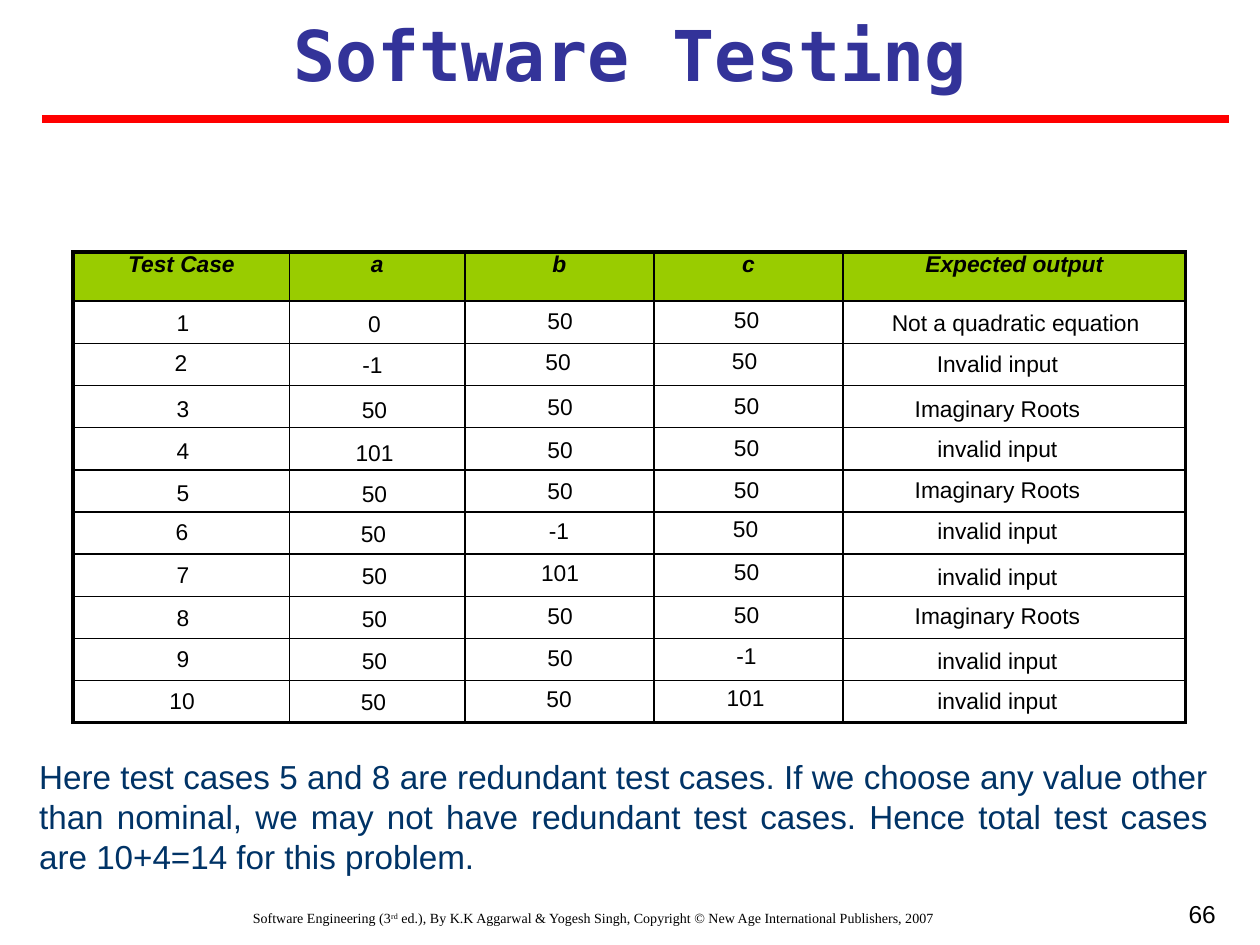
"""Build the slide with the table of robust test cases."""
import pptx
import pptx.dml.color
import pptx.enum.shapes
import pptx.enum.text
import pptx.oxml
import pptx.oxml.ns
import pptx.util

Cm, Pt = pptx.util.Cm, pptx.util.Pt
ALIGN = pptx.enum.text.PP_ALIGN
SANS, MONO, SERIF = "Arial", "DejaVu Sans Mono", "Times New Roman"
BLACK, BLUE, NAVY, GREEN, RED = "000000", "333399", "003366", "99CC00", "FF0000"

TITLE = "Software Testing"
HEADS = ["Test Case", "a", "b", "c", "Expected output"]
CASES = [
    (1, 0, 50, 50, "Not a quadratic equation"),
    (2, -1, 50, 50, "Invalid input"),
    (3, 50, 50, 50, "Imaginary Roots"),
    (4, 101, 50, 50, "invalid input"),
    (5, 50, 50, 50, "Imaginary Roots"),
    (6, 50, -1, 50, "invalid input"),
    (7, 50, 101, 50, "invalid input"),
    (8, 50, 50, 50, "Imaginary Roots"),
    (9, 50, 50, -1, "invalid input"),
    (10, 50, 50, 101, "invalid input"),
]
NOTE = ("Here test cases 5 and 8 are redundant test cases. If we choose any value "
        "other than nominal, we may not have redundant test cases. Hence total test "
        "cases are 10+4=14 for this problem.")
CREDIT = [
    ("Software Engineering (3", 0),
    ("rd", 30000),
    (" ed.), By K.K Aggarwal & Yogesh Singh, Copyright © New Age International "
     "Publishers, 2007", 0),
]
PAGE = "66"

WIDTHS = [4.37, 3.53, 3.81, 3.81, 6.91]
HEAD, ROW = 0.99, 0.85
SPOTS = [(2.74, 0), (6.6, 0.03), (10.34, -0.03), (14.1, -0.06)]
TOPS = [6.22, 7.04, 7.95, 8.81, 9.65, 10.44, 11.3, 12.17, 13, 13.84]
ENDS = [6.22, 7.06, 7.95, 8.76, 9.6, 10.41, 11.35, 12.14, 13.03, 13.84]
SHIFTS = {2: -0.04, 6: -0.02, 10: -0.02}


def color(code):
    return pptx.dml.color.RGBColor.from_string(code)


def write(para, runs, size, font=SANS, tint=BLACK, bold=False, slant=False,
          align=ALIGN.CENTER):
    para.alignment = align
    for text, lift in runs:
        run = para.add_run()
        run.text = text
        face = run.font
        face.size, face.name = Pt(size), font
        face.bold, face.italic = bold, slant
        face.color.rgb = color(tint)
        if lift:
            run._r.get_or_add_rPr().set("baseline", str(lift))


def label(slide, place, runs, size, pads=(0, 0), **look):
    box = slide.shapes.add_textbox(*map(Cm, place))
    frame = box.text_frame
    frame.word_wrap = True
    side, top = pads
    frame.margin_left = frame.margin_right = Cm(side)
    frame.margin_top, frame.margin_bottom = Cm(top), Cm(0)
    write(frame.paragraphs[0], runs, size, **look)


def border(cell, edges):
    props = cell._tc.get_or_add_tcPr()
    space = pptx.oxml.ns.nsdecls("a")
    for spot, (side, thick) in enumerate(edges.items()):
        props.insert(spot, pptx.oxml.parse_xml(
            f'<a:ln{side} {space} w="{Pt(thick)}"><a:solidFill>'
            f'<a:srgbClr val="{BLACK}"/></a:solidFill></a:ln{side}>'))


def grid(slide):
    count, last = len(CASES), len(HEADS) - 1
    table = slide.shapes.add_table(
        count + 1, last + 1, Cm(1.47), Cm(5.08),
        Cm(sum(WIDTHS)), Cm(HEAD + ROW * count)).table
    table.first_row = table.horz_banding = False
    for col, width in zip(table.columns, WIDTHS):
        col.width = Cm(width)
    for row, line in enumerate(table.rows):
        line.height = Cm(ROW if row else HEAD)
        for col, cell in enumerate(line.cells):
            cell.margin_top = cell.margin_bottom = Cm(0)
            if row:
                cell.fill.background()
            else:
                cell.fill.solid()
                cell.fill.fore_color.rgb = color(GREEN)
                write(cell.text_frame.paragraphs[0], [(HEADS[col], 0)], 13,
                      bold=True, slant=True)
            outer = {"L": col == 0, "R": col == last,
                     "T": row == 0, "B": row == count}
            border(cell, {side: 2.25 if edge else 1 for side, edge in outer.items()})


def values(slide):
    for case, top, end in zip(CASES, TOPS, ENDS):
        shift = SHIFTS.get(case[0], 0)
        for value, (left, drop) in zip(case, SPOTS):
            label(slide, (left + shift, top + drop, 1.9, 0.55), [(str(value), 0)], 13)
        left, width = (17.5, 5.94) if case[0] == 1 else (17.78, 4.65)
        label(slide, (left, end, width, 0.55), [(case[-1], 0)], 13)


def rule(slide):
    line = slide.shapes.add_connector(
        pptx.enum.shapes.MSO_CONNECTOR.STRAIGHT, Cm(0.85), Cm(2.39), Cm(24.77), Cm(2.39))
    line.line.color.rgb = color(RED)
    line.line.width = Pt(4.5)
    line._element.spPr.append(pptx.oxml.parse_xml(
        f'<a:effectLst {pptx.oxml.ns.nsdecls("a")}/>'))


def main():
    deck = pptx.Presentation()
    deck.slide_width, deck.slide_height = Cm(25.4), Cm(19.05)
    slide = deck.slides.add_slide(deck.slide_layouts[6])
    label(slide, (0.64, 18.21, 22.66, 0.84), CREDIT, 8, (0.25, 0.13), font=SERIF)
    label(slide, (18.85, 17.98, 5.91, 1.5), [(PAGE, 0)], 14, (0.25, 0.15),
          align=ALIGN.RIGHT)
    label(slide, (0.85, 0, 23.7, 1.96), [(TITLE, 0)], 40, (0.25, 0.24),
          font=MONO, tint=BLUE, bold=True)
    rule(slide)
    grid(slide)
    values(slide)
    label(slide, (0.79, 15.25, 23.57, 2.29), [(NOTE, 0)], 19,
          tint=NAVY, align=ALIGN.JUSTIFY)
    deck.save("out.pptx")


if __name__ == "__main__":
    main()
